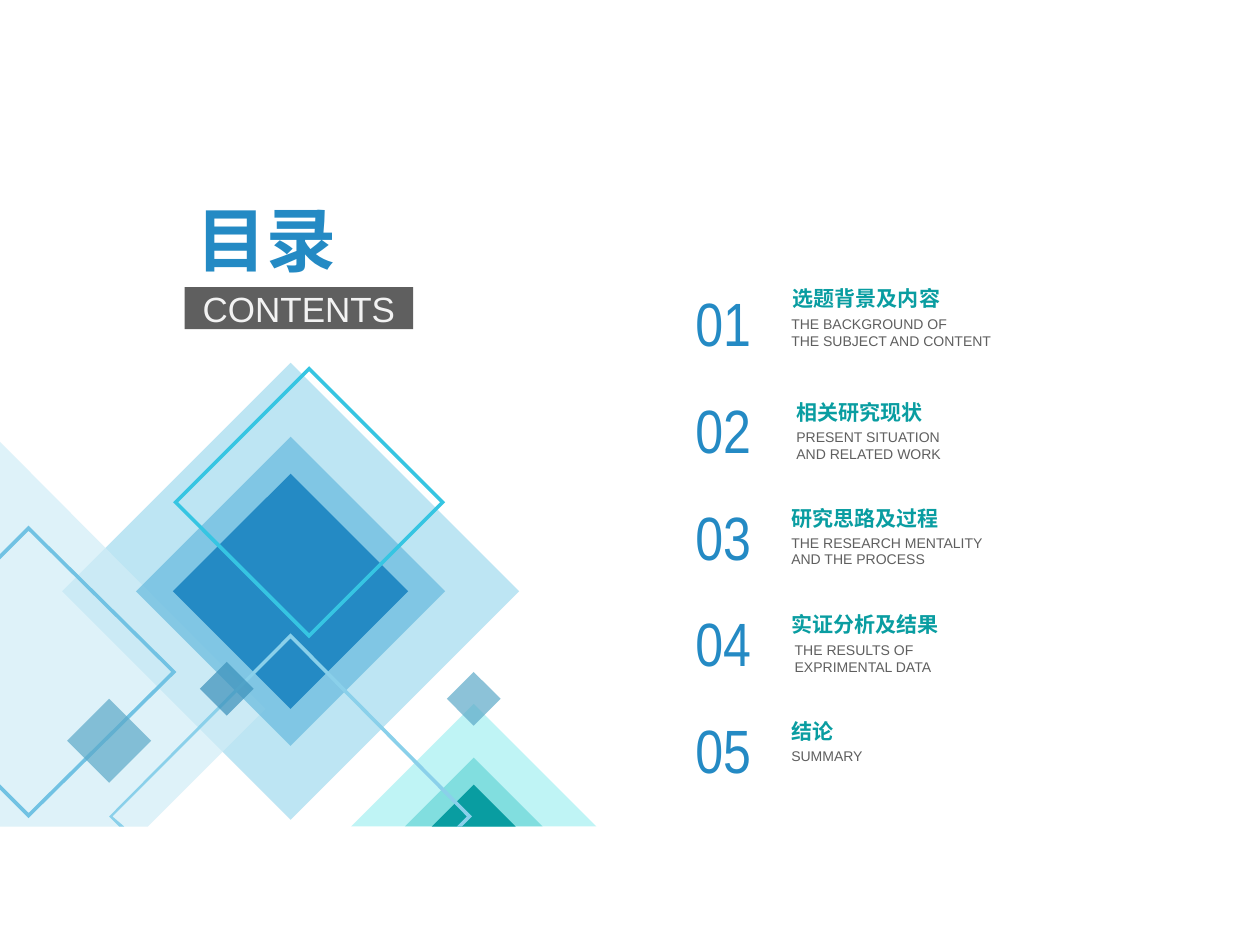
from pptx import Presentation
from pptx.dml.color import RGBColor
from pptx.enum import shapes, text
from pptx.oxml.ns import qn
from pptx.util import Inches, Pt
from lxml import etree

# Content: number, heading, its left and top, lines below, their left and top
TOPICS = [
    ("01", "选题背景及内容", 4.72, 1.7, ["THE BACKGROUND OF", "THE SUBJECT AND CONTENT"], 4.71, 1.88),
    ("02", "相关研究现状", 4.74, 2.38, ["PRESENT SITUATION", "AND RELATED WORK"], 4.74, 2.55),
    ("03", "研究思路及过程", 4.71, 3.01, ["THE RESEARCH MENTALITY", "AND THE PROCESS"], 4.71, 3.18),
    ("04", "实证分析及结果", 4.71, 3.64, ["THE RESULTS OF", "EXPRIMENTAL DATA"], 4.73, 3.82),
    ("05", "结论", 4.71, 4.28, ["SUMMARY"], 4.71, 4.45),
]
FIRST_TOP, LAST_TOP = 1.7, 4.24   # tops of the first and last number
BLUE, TEAL, GREY = "248AC4", "099DA1", "5F5F5F"
CJK = "Noto Sans CJK SC"
BASE = 4.92   # lower edge of the artwork
BAND = 0.03   # horizontal thickness of outlined diamonds


def diamond(cx, cy, half):
    return [(cx, cy + half), (cx - half, cy), (cx, cy - half), (cx + half, cy)]


def peak(cx, top):
    half = BASE - top
    return [(cx - half, BASE), (cx, top), (cx + half, BASE)]


# Artwork from back to front: contours, colour, opacity in percent
ART = [
    ([diamond(1.73, 3.52, 1.36)], "A2DAEE", 70),
    ([[(0, 2.63), (1.58, 4.22), (0.88, BASE), (0, BASE)]], "D1EDF7", 70),
    ([diamond(1.73, 3.52, 0.92)], "67BADE", 70),
    ([diamond(1.73, 3.52, 0.7)], BLUE, 100),
    ([peak(2.82, 4.19)], "A4F0F1", 70),
    ([peak(2.82, 4.51)], "68D5D7", 70),
    ([peak(2.82, 4.67)], TEAL, 100),
    ([[(0.71, BASE), (0.65, 4.86), (1.73, 3.77), (2.81, 4.86), (2.75, BASE),
       (2.72, BASE), (2.78, 4.86), (1.73, 3.8), (0.67, 4.86), (0.74, BASE)]], "8AD0EA", 100),
    ([[(0.17, 4.87), (0, 4.7), (0, 4.67), (0.17, 4.84), (1.02, 4), (0.17, 3.16),
       (0, 3.33), (0, 3.3), (0.17, 3.13), (1.05, 4)]], "71C2E3", 100),
    ([diamond(1.84, 2.99, 0.81), diamond(1.84, 2.99, 0.81 - BAND)[::-1]], "36C5E2", 100),
    ([diamond(2.82, 4.16, 0.16)], "5CA9C8", 70),
    ([diamond(0.65, 4.41, 0.25)], "5CA9C8", 70),
    ([diamond(1.35, 4.1, 0.16)], "3A90BA", 70),
]

# Slide in 4:3 format
prs = Presentation()
prs.slide_width = Inches(7.5)
prs.slide_height = prs.slide_width * 3 // 4
s = prs.slides.add_slide(prs.slide_layouts[6])


def rgb(color):
    return RGBColor.from_string(color)


def paint(sp, color, opacity=100):
    sp.shadow.inherit = False
    sp.line.fill.background()
    sp.fill.solid()
    sp.fill.fore_color.rgb = rgb(color)
    if opacity < 100:
        clr = sp.element.spPr.find(qn("a:solidFill"))[0]
        etree.SubElement(clr, qn("a:alpha"), val=str(opacity * 1000))


def write(sp, lines, size, color, font="Arial", bold=False, align=None, pad=0):
    tf = sp.text_frame
    frame = {"word_wrap": True, "margin_left": 0, "margin_right": 0,
             "margin_top": Inches(pad), "margin_bottom": Inches(pad),
             "auto_size": text.MSO_AUTO_SIZE.SHAPE_TO_FIT_TEXT}
    for name, value in frame.items():
        setattr(tf, name, value)
    for i, line in enumerate(lines):
        p = tf.add_paragraph() if i else tf.paragraphs[0]
        p.alignment = align
        r = p.add_run()
        r.text = line
        for name, value in {"size": Pt(size), "name": font, "bold": bold}.items():
            setattr(r.font, name, value)
        r.font.color.rgb = rgb(color)
    # East Asian font
    for latin in list(sp.element.iter(qn("a:latin"))):
        latin.addnext(etree.Element(qn("a:ea"), typeface=CJK))


def label(x, y, w, h, *args, **kwargs):
    sp = s.shapes.add_textbox(Inches(x), Inches(y), Inches(w), Inches(h))
    write(sp, *args, **kwargs)


# Title block
label(1.17, 1.12, 1.2, 0.61, ["目录"], 30, BLUE, font=CJK, bold=True,
      align=text.PP_ALIGN.JUSTIFY, pad=0.05)
bar = s.shapes.add_shape(shapes.MSO_SHAPE.RECTANGLE,
                         Inches(1.1), Inches(1.71), Inches(1.36), Inches(0.25))
paint(bar, GREY)
write(bar, ["CONTENTS"], 15, "F2F2F2", align=text.PP_ALIGN.CENTER)

# Diamond artwork
for contours, color, opacity in ART:
    outlines = [[(Inches(x), Inches(y)) for x, y in c] for c in contours]
    fb = s.shapes.build_freeform(*outlines[0][0])
    for i, points in enumerate(outlines):
        if i:
            fb.move_to(*points[0])
        fb.add_line_segments(points[1:], close=True)
    paint(fb.convert_to_shape(), color, opacity)

# Topic list
pitch = (LAST_TOP - FIRST_TOP) / (len(TOPICS) - 1)
for i, (number, heading, x, y, lines, lines_x, lines_y) in enumerate(TOPICS):
    label(x, y, 1.5, 0.15, [heading], 9, TEAL, bold=True)
    label(lines_x, lines_y, 1.58, 0.1 * len(lines), lines, 6, GREY)
    label(4.06, FIRST_TOP + i * pitch, 0.49, 0.44, [number], 26.2, BLUE,
          font="Arial Narrow", align=text.PP_ALIGN.CENTER)

prs.save("out.pptx")
